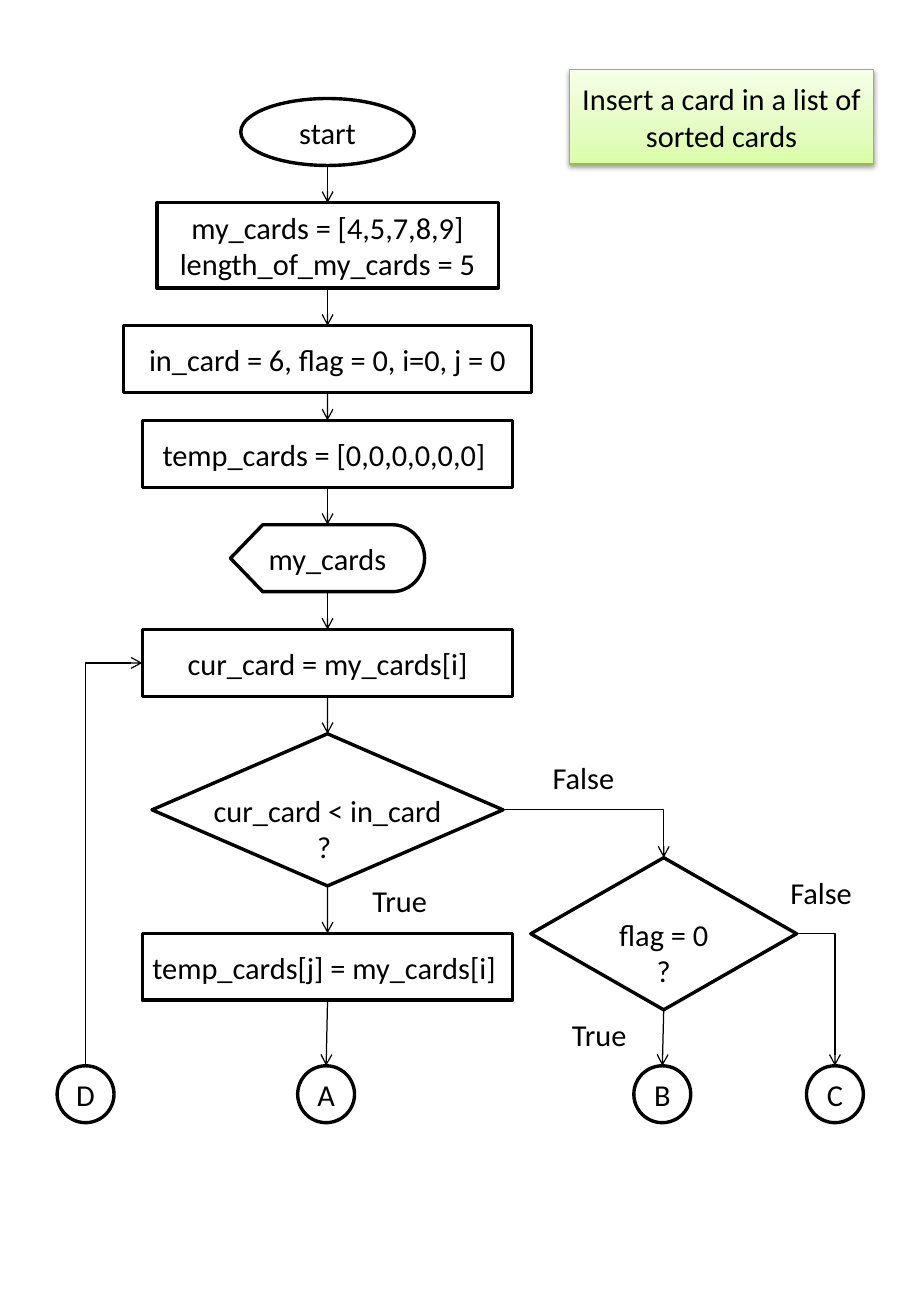
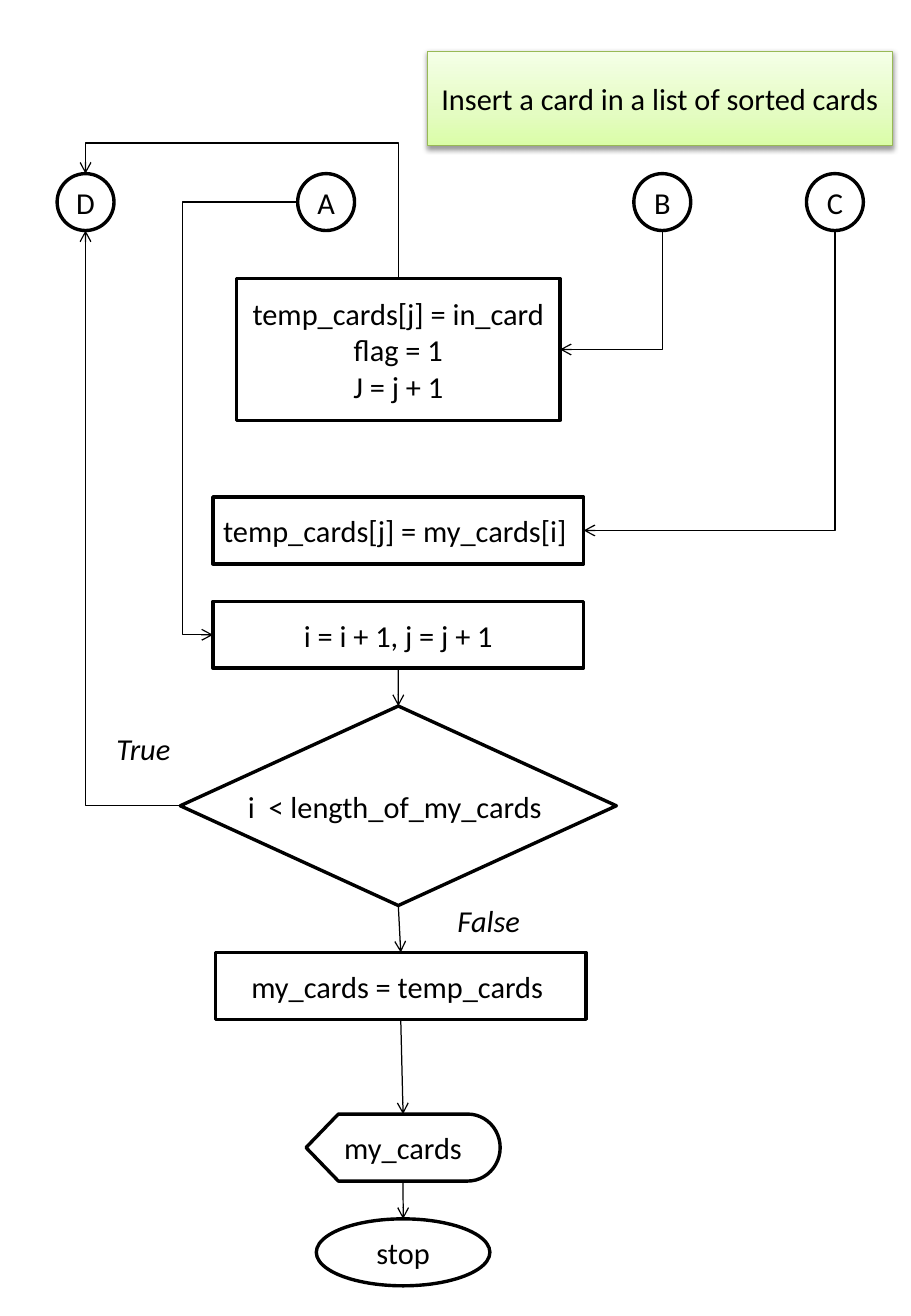
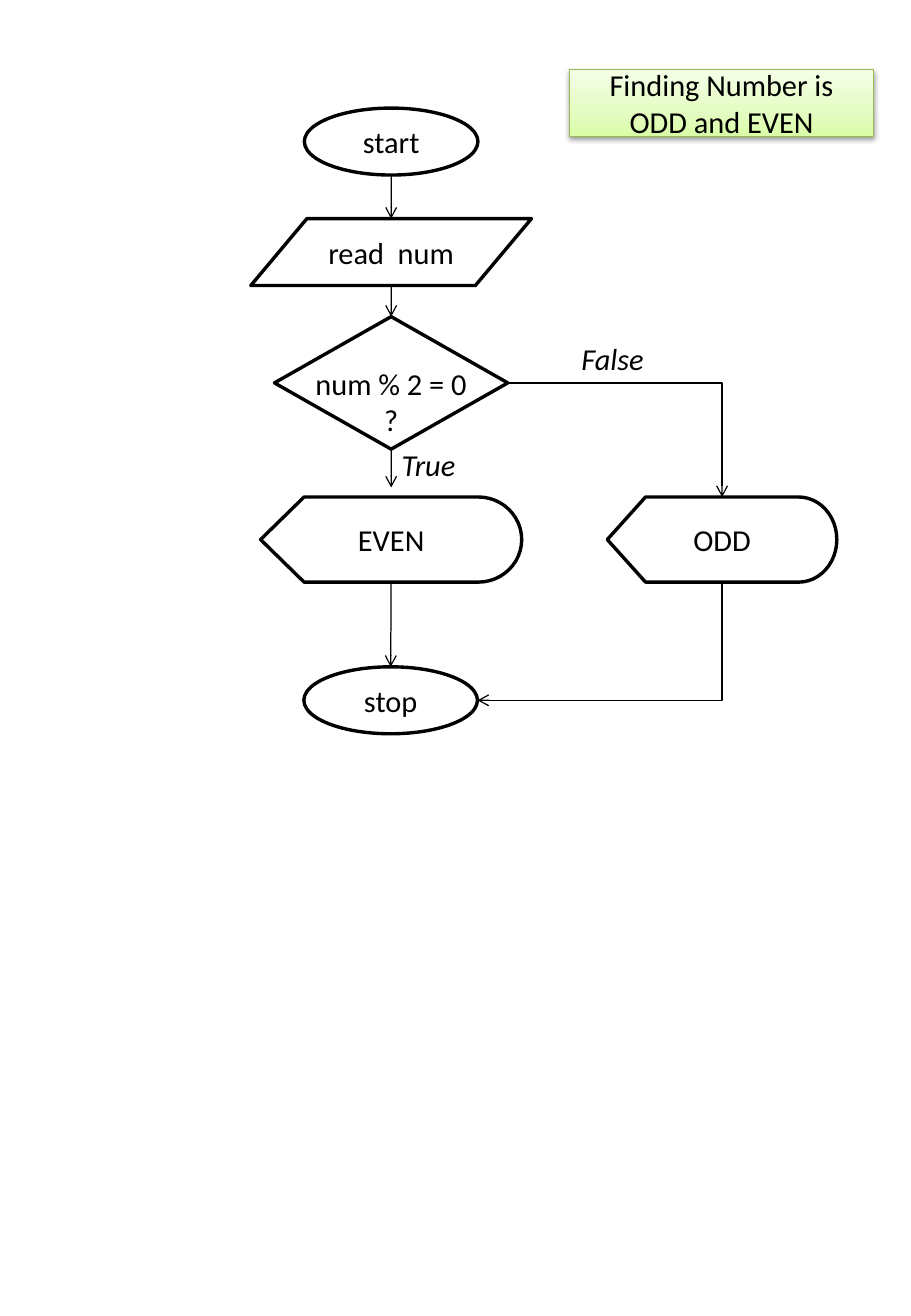
from copy import deepcopy
from lxml.etree import SubElement
from pptx import Presentation
from pptx.dml.color import RGBColor
from pptx.enum.shapes import MSO_CONNECTOR as Wire, MSO_SHAPE as Form
from pptx.enum.text import MSO_ANCHOR as Anchor, PP_ALIGN as Align
from pptx.oxml.ns import qn
from pptx.util import Cm, Pt

BLACK = RGBColor(0x00, 0x00, 0x00)
WHITE = RGBColor(0xFF, 0xFF, 0xFF)
OLIVE = RGBColor(0x98, 0xB9, 0x55)
LIME = RGBColor(0xDA, 0xFD, 0xA7)
PALE = RGBColor(0xE4, 0xFC, 0xC2)
MIST = RGBColor(0xF5, 0xFF, 0xE7)

FONT = "Calibri"
SIZE = Pt(18)
LINE = 0.77
ROW = 1.4
OVAL, RECT = Form.OVAL, Form.RECTANGLE
TEST, SHOW, READ = Form.FLOWCHART_DECISION, Form.FLOWCHART_DISPLAY, Form.FLOWCHART_DATA
JOINS = (RECT, TEST, SHOW)
TOP, LEFT, BOTTOM, RIGHT = range(4)
DOTS = {"A": 6.82, "B": 13.85, "C": 17.46, "D": 1.79}
TAG = {"wide": 2.2, "high": 1.02, "kind": None}


def box(text, mid, top, wide=7.75, high=ROW, kind=RECT, drop=0, italic=False, title=False):
    area = Cm(mid - wide / 2), Cm(top), Cm(wide), Cm(high)
    if kind is None:
        shape = page.shapes.add_textbox(*area)
    else:
        shape = page.shapes.add_shape(kind, *area)
        shape.shadow.inherit = False
        shape.line.color.rgb = OLIVE if title else BLACK
        shape.line.width = Pt(0.75 if title else 2)
        shape.fill.solid()
        shape.fill.fore_color.rgb = WHITE
    if title:
        shape.fill.gradient()
        shape.fill.gradient_angle = 90
        props = shape._element.spPr
        stops = props.find(".//" + qn("a:gsLst"))
        stops.insert(1, deepcopy(stops[0]))
        for stop, tint, place in zip(shape.fill.gradient_stops, (LIME, PALE, MIST), (0, 0.35, 1)):
            stop.color.rgb = tint
            stop.position = place
        glow = SubElement(props.find(qn("a:effectLst")), qn("a:outerShdw"),
                          blurRad="40000", dist="20000", dir="5400000", rotWithShape="0")
        tone = SubElement(glow, qn("a:srgbClr"), val=str(BLACK))
        SubElement(tone, qn("a:alpha"), val="38000")
    frame = shape.text_frame
    frame.word_wrap = title
    frame.vertical_anchor = Anchor.TOP if kind is None else Anchor.MIDDLE
    frame.margin_top = Cm(0.13 + drop)
    for count, words in enumerate(text.split("\n")):
        para = frame.add_paragraph() if count else frame.paragraphs[0]
        para.text = words
        para.alignment = Align.CENTER
        para.font.name, para.font.size = FONT, SIZE
        para.font.italic = italic
        para.font.color.rgb = BLACK
    return shape


def link(first, out, last, into, bend=None, ratio=None, gap=0):
    (ax, ay), (bx, by) = [
        (s.left + s.width * (1, 0, 1, 2)[side] // 2, s.top + s.height * (0, 1, 2, 1)[side] // 2)
        for s, side in ((first, out), (last, into))]
    by -= Cm(gap)
    turn = bend and out in (TOP, BOTTOM)
    if turn:
        mx, my, dx, dy = (ax + bx) // 2, (ay + by) // 2, bx - ax, by - ay
        ax, ay, bx, by = mx - dy // 2, my + dx // 2, mx + dy // 2, my - dx // 2
    wire = page.shapes.add_connector(Wire.ELBOW if bend else Wire.STRAIGHT, ax, ay, bx, by)
    props = wire._element.spPr
    if bend:
        geom = props.find(qn("a:prstGeom"))
        geom.set("prst", bend)
        if turn:
            props.find(qn("a:xfrm")).set("rot", "5400000")
        if ratio:
            SubElement(geom.find(qn("a:avLst")), qn("a:gd"), name="adj1", fmla=f"val {ratio}")
    else:
        if first.auto_shape_type in JOINS:
            wire.begin_connect(first, out)
        if last.auto_shape_type in JOINS and not gap:
            wire.end_connect(last, into)
    wire.line.color.rgb = BLACK
    wire.line.width = Pt(0.75)
    SubElement(props.find(qn("a:ln")), qn("a:tailEnd"), type="arrow")
    SubElement(props, qn("a:effectLst"))


deck = Presentation()
deck.slide_width, deck.slide_height = Cm(19.05), Cm(27.51)
blank = deck.slide_layouts[6]
ELBOW, HOOK = "bentConnector2", "bentConnector3"

page = deck.slides.add_slide(blank)
flow = [box(text, 6.85, top, wide, high, kind, drop) for text, top, wide, high, kind, drop in (
    ("start", 2.06, 3.63, ROW, OVAL, 0),
    ("my_cards = [4,5,7,8,9]\nlength_of_my_cards = 5", 4.24, 7.14, 1.78, RECT, 0),
    ("in_card = 6, flag = 0, i=0, j = 0", 6.81, 8.53, ROW, RECT, 0),
    ("temp_cards = [0,0,0,0,0,0] ", 8.79, 7.75, ROW, RECT, 0),
    ("my_cards", 10.97, 4.06, ROW, SHOW, 0),
    ("cur_card = my_cards[i]", 13.16, 7.75, ROW, RECT, 0),
    ("cur_card < in_card\n? ", 15.34, 7.34, 3.18, TEST, LINE),
    ("temp_cards[j] = my_cards[i] ", 19.51, 7.75, ROW, RECT, 0))]
flag = box("flag = 0\n?", 13.88, 17.93, 5.56, 3.18, TEST, LINE)
dots = {name: box(name, mid, 22.28, 1.19, 1.19, OVAL) for name, mid in DOTS.items()}
for above, below in zip(flow, flow[1:] + [dots["A"]]):
    link(above, BOTTOM, below, TOP)
link(flag, BOTTOM, dots["B"], TOP)
link(flow[6], RIGHT, flag, TOP, ELBOW)
link(flag, RIGHT, dots["C"], TOP, ELBOW)
link(dots["D"], TOP, flow[5], LEFT, ELBOW)
for text, mid, top in (("True", 8.36, 18.31), ("False", 12.2, 15.75),
                       ("True", 12.53, 21.11), ("False", 17.17, 18.14)):
    box(text, mid, top, **TAG)
box("Insert a card in a list of sorted cards", 15.09, 1.45, 6.35, 1.98, title=True)

page = deck.slides.add_slide(blank)
put = box("temp_cards[j] = in_card\nflag = 1\nJ = j + 1", 8.33, 5.82, 6.76, 2.97)
store = box("temp_cards[j] = my_cards[i] ", 8.33, 10.39)
flow = [
    box("i = i + 1, j = j + 1", 8.33, 12.57),
    box("i  < length_of_my_cards ", 8.33, 14.76, 9.12, 4.17, TEST),
    box("my_cards = temp_cards ", 8.38, 19.91),
    box("my_cards", 8.43, 23.29, 4.06, kind=SHOW),
    box("stop", 8.43, 25.48, 3.63, kind=OVAL)]
dots = {name: box(name, mid, 3.63, 1.19, 1.19, OVAL) for name, mid in DOTS.items()}
for above, below in zip(flow, flow[1:]):
    link(above, BOTTOM, below, TOP)
link(dots["C"], BOTTOM, store, RIGHT, ELBOW)
link(dots["B"], BOTTOM, put, RIGHT, ELBOW)
link(dots["A"], LEFT, flow[0], LEFT, HOOK, 136100)
link(flow[1], LEFT, dots["D"], BOTTOM, ELBOW)
link(put, TOP, dots["D"], TOP, HOOK, 129200)
for text, mid, top in (("True", 3, 15.14), ("False", 10.22, 18.72)):
    box(text, mid, top, italic=True, **TAG)
box("Insert a card in a list of sorted cards", 13.8, 1.07, 9.73, 1.98, title=True)

page = deck.slides.add_slide(blank)
start = box("start", 8.18, 2.26, 3.63, kind=OVAL)
read = box("read  num", 8.18, 4.57, 5.87, kind=READ)
test = box("num % 2 = 0\n?", 8.18, 6.62, 4.88, 2.77, TEST, LINE)
even = box("EVEN", 8.18, 10.39, 5.46, 1.78, SHOW)
odd = box("ODD", 15.1, 10.39, 4.8, 1.78, SHOW)
stop = box("stop", 8.17, 13.94, 3.63, kind=OVAL)
for above, below, gap in ((start, read, 0), (read, test, 0), (test, even, 0.2), (even, stop, 0)):
    link(above, BOTTOM, below, TOP, gap=gap)
link(test, RIGHT, odd, TOP, ELBOW)
link(odd, BOTTOM, stop, RIGHT, ELBOW)
for text, mid, top in (("True", 8.96, 9.19), ("False", 12.81, 6.99)):
    box(text, mid, top, italic=True, **TAG)
box("Finding Number is ODD and EVEN", 15.09, 1.45, 6.35, title=True)

deck.save("out.pptx")
